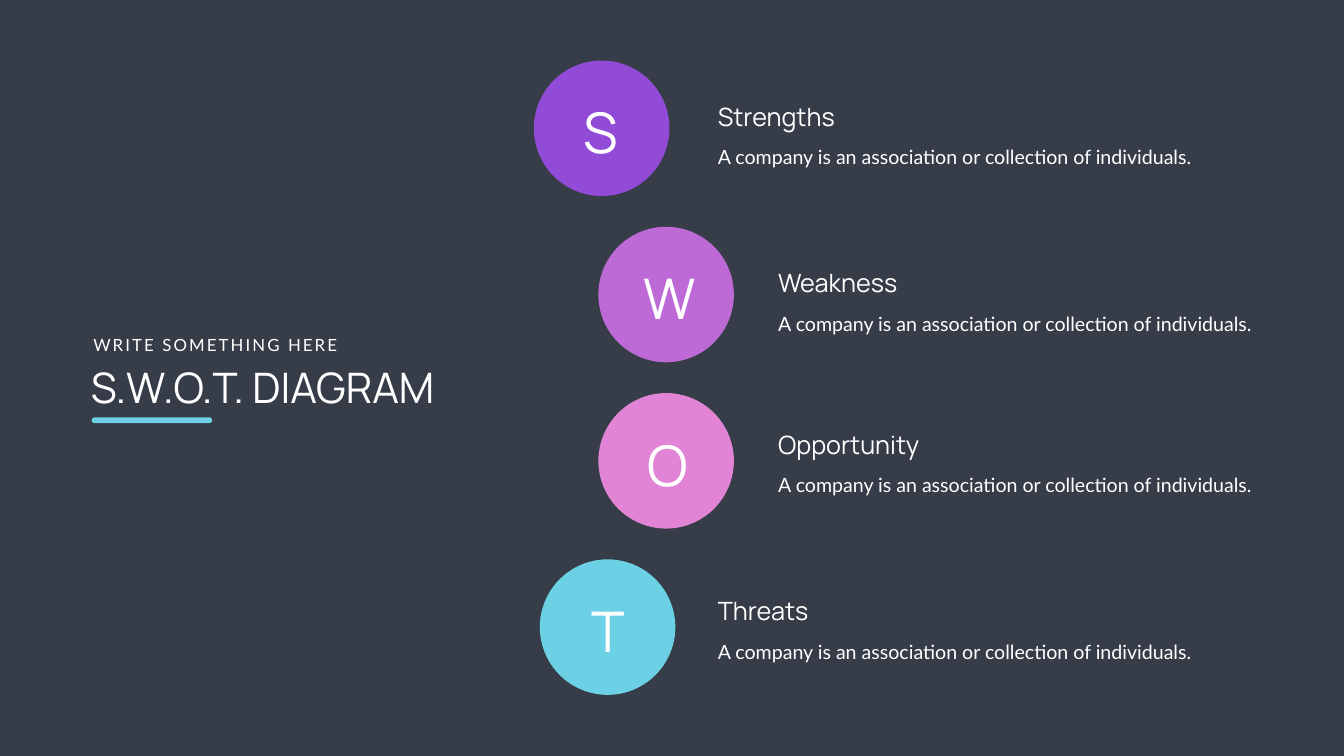
"""Build a S.W.O.T. diagram slide with four lettered circles."""
from dataclasses import dataclass

from pptx import Presentation
from pptx.dml.color import RGBColor
from pptx.enum.shapes import MSO_SHAPE
from pptx.enum.text import MSO_ANCHOR, MSO_AUTO_SIZE, PP_ALIGN
from pptx.shapes.autoshape import Shape
from pptx.slide import Slide
from pptx.util import Cm, Pt

OVAL, ROUNDED = MSO_SHAPE.OVAL, MSO_SHAPE.ROUNDED_RECTANGLE
TOP, GROW = MSO_ANCHOR.TOP, MSO_AUTO_SIZE.SHAPE_TO_FIT_TEXT
LEFT, CENTER = PP_ALIGN.LEFT, PP_ALIGN.CENTER
TITLE_ONLY = 5


@dataclass(frozen=True)
class Theme:
    background: str = "363D48"
    text: str = "FFFFFF"
    purple: str = "914BD7"
    orchid: str = "BD6AD7"
    pink: str = "E184D6"
    cyan: str = "6CD1E5"
    heading_font: str = "Manrope"
    body_font: str = "Lato"
    title_size: int = 60
    eyebrow_size: int = 24
    letter_size: int = 80
    heading_size: int = 36
    body_size: int = 28


@dataclass(frozen=True)
class Box:
    left: float
    top: float
    width: float
    height: float


@dataclass(frozen=True)
class Item:
    heading: str
    color: str
    circle_left: float
    letter_left: float
    text_left: float
    text_top: float
    heading_width: float


THEME = Theme()
DESCRIPTION = "A company is an association or collection of individuals."
FIRST_TOP, PITCH, DIAMETER = 3.05, 8.38, 6.83
LETTER_DROP, BODY_DROP = 1.75, 1.63
ITEMS = [
    Item("Strengths", THEME.purple, 26.9, 28.12, 35.92, 4.98, 6.76),
    Item("Weakness", THEME.orchid, 30.15, 31.57, 38.96, 13.36, 7.16),
    Item("Opportunity", THEME.pink, 30.15, 31.47, 38.96, 21.51, 8.28),
    Item("Threats", THEME.cyan, 27.2, 28.5, 35.92, 29.9, 5.77),
]


def place(sp: Shape, box: Box) -> None:
    sp.left, sp.top = Cm(box.left), Cm(box.top)
    sp.width, sp.height = Cm(box.width), Cm(box.height)


def write(sp: Shape, text: str, size: int, font: str, align: PP_ALIGN = LEFT,
          line_spacing: float = 1.0, tracking: float = 0) -> None:
    tf = sp.text_frame
    tf.text = text
    tf.word_wrap, tf.auto_size, tf.vertical_anchor = True, GROW, TOP
    p = tf.paragraphs[0]
    p.alignment, p.line_spacing = align, line_spacing
    r = p.runs[0]
    r.font.name, r.font.size = font, Pt(size)
    r.font.color.rgb = RGBColor.from_string(THEME.text)
    if tracking:
        r.font._element.set("spc", str(int(tracking * 100)))


def add_text(s: Slide, box: Box, text: str, size: int, font: str, **style) -> None:
    sp = s.shapes.add_textbox(0, 0, 0, 0)
    write(sp, text, size, font, **style)
    place(sp, box)


def add_fill(s: Slide, kind: MSO_SHAPE, box: Box, color: str) -> Shape:
    sp = s.shapes.add_shape(kind, 0, 0, 0, 0)
    place(sp, box)
    sp.shadow.inherit = False
    sp.fill.solid()
    sp.fill.fore_color.rgb = RGBColor.from_string(color)
    sp.line.fill.background()
    return sp


def add_title(s: Slide) -> None:
    title = s.shapes.title
    write(title, "S.W.O.T. DIAGRAM", THEME.title_size, THEME.heading_font)
    place(title, Box(4.32, 18.11, 22.15, 2.82))
    add_text(s, Box(4.45, 16.74, 13.06, 1.27), "WRITE SOMETHING HERE",
             THEME.eyebrow_size, THEME.body_font, tracking=3)
    underline = add_fill(s, ROUNDED, Box(4.62, 21.03, 6.07, 0.3), THEME.cyan)
    underline.adjustments[0] = 0.5


def add_item(s: Slide, item: Item, top: float) -> None:
    add_fill(s, OVAL, Box(item.circle_left, top, DIAMETER, DIAMETER), item.color)
    add_text(s, Box(item.letter_left, top + LETTER_DROP, 4.34, 3.68), item.heading[0],
             THEME.letter_size, THEME.heading_font, align=CENTER)
    add_text(s, Box(item.text_left, item.text_top, item.heading_width, 1.8),
             item.heading, THEME.heading_size, THEME.heading_font)
    add_text(s, Box(item.text_left, item.text_top + BODY_DROP, 24.43, 1.8),
             DESCRIPTION, THEME.body_size, THEME.body_font, line_spacing=1.5)


def main() -> None:
    prs = Presentation()
    prs.slide_width, prs.slide_height = Cm(67.72), Cm(38.1)
    s = prs.slides.add_slide(prs.slide_layouts[TITLE_ONLY])
    s.background.fill.solid()
    s.background.fill.fore_color.rgb = RGBColor.from_string(THEME.background)
    add_title(s)
    for i, item in enumerate(ITEMS):
        add_item(s, item, FIRST_TOP + i * PITCH)
    prs.save("out.pptx")


if __name__ == "__main__":
    main()
